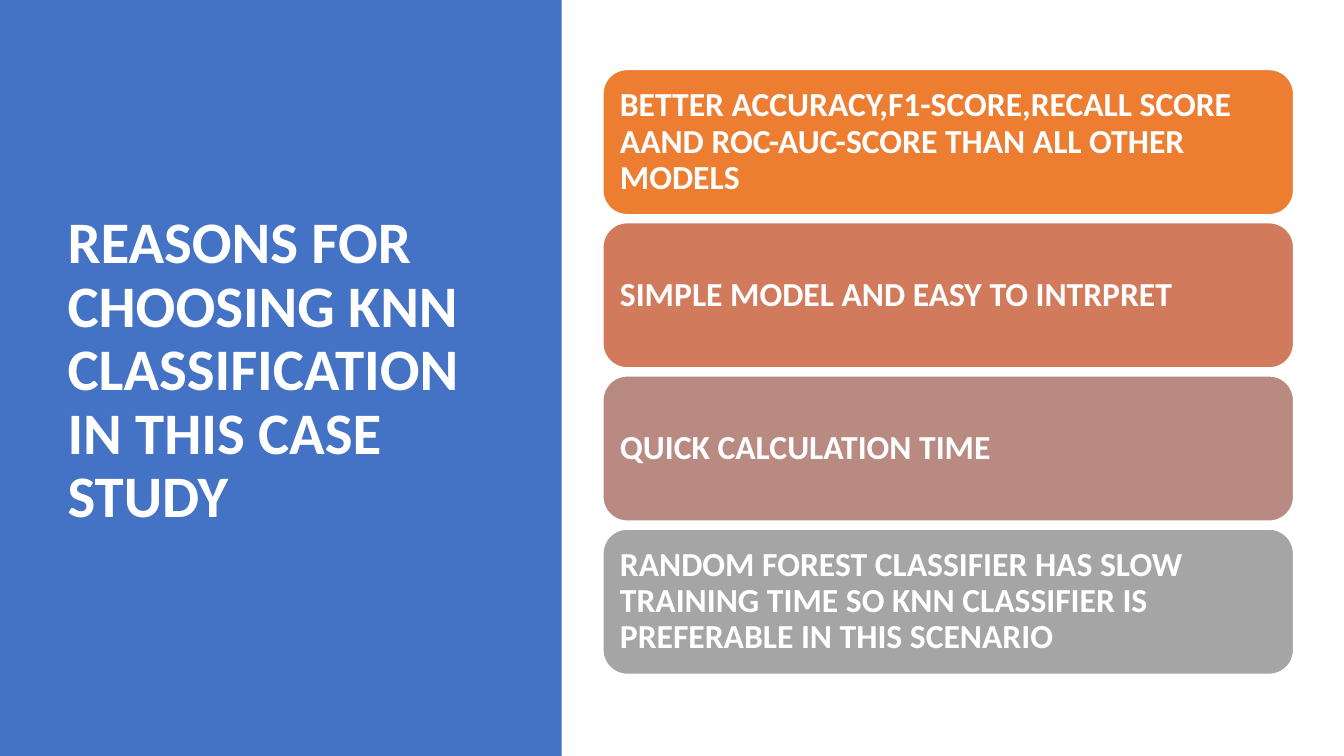
"""Build a slide listing the reasons for choosing KNN classification."""
import pptx
import pptx.dml.color
import pptx.enum.shapes
import pptx.enum.text
import pptx.util
from pptx.util import Inches

TITLE = "REASONS FOR CHOOSING KNN CLASSIFICATION IN THIS CASE STUDY"
REASONS = [
    ("BETTER ACCURACY,F1-SCORE,RECALL SCORE AAND ROC-AUC-SCORE THAN ALL OTHER MODELS", "orange"),
    ("SIMPLE MODEL AND EASY TO INTRPRET", "terracotta"),
    ("QUICK CALCULATION TIME", "rose"),
    ("RANDOM FOREST CLASSIFIER HAS SLOW TRAINING TIME SO KNN CLASSIFIER IS "
     "PREFERABLE IN THIS SCENARIO", "gray"),
]
COLORS = {
    "blue": "4472C4",
    "orange": "ED7D31",
    "terracotta": "D17B5C",
    "rose": "B98A82",
    "gray": "A5A5A5",
    "white": "FFFFFF",
}
CARD_LEFT, CARD_TOP, CARD_WIDTH, CARD_HEIGHT = 5.98, 0.69, 6.85, 1.44
CARD_STEP = 1.52


def color(name):
    """Return the named colour."""
    return pptx.dml.color.RGBColor.from_string(COLORS[name])


def add_block(slide, kind, left, top, width, height, fill):
    """Add a filled shape without shadow."""
    shape = slide.shapes.add_shape(
        kind, Inches(left), Inches(top), Inches(width), Inches(height))
    shape.shadow.inherit = False
    shape.fill.solid()
    shape.fill.fore_color.rgb = color(fill)
    return shape


def write(shape, text, size):
    """Write bold white text, left-aligned and vertically centred."""
    frame = shape.text_frame
    frame.text = text
    frame.word_wrap = True
    frame.auto_size = pptx.enum.text.MSO_AUTO_SIZE.NONE
    frame.vertical_anchor = pptx.enum.text.MSO_ANCHOR.MIDDLE
    paragraph = frame.paragraphs[0]
    paragraph.alignment = pptx.enum.text.PP_ALIGN.LEFT
    paragraph.line_spacing = 0.9
    paragraph.font.name = "Calibri"
    paragraph.font.size = pptx.util.Pt(size)
    paragraph.font.bold = True
    paragraph.font.color.rgb = color("white")


def main():
    """Build and save the presentation."""
    presentation = pptx.Presentation()
    presentation.slide_width = Inches(13.33)
    presentation.slide_height = Inches(7.5)
    slide = presentation.slides.add_slide(presentation.slide_layouts[5])
    shapes = pptx.enum.shapes.MSO_SHAPE

    panel = add_block(slide, shapes.RECTANGLE, 0, 0, 5.57, 7.5, "blue")
    panel.line.fill.background()

    title = slide.shapes.title
    title.left, title.top = Inches(0.57), Inches(0.68)
    title.width, title.height = Inches(4.16), Inches(6.02)
    write(title, TITLE, 42)
    panel.element.addnext(title.element)

    for index, (reason, fill) in enumerate(REASONS):
        card = add_block(slide, shapes.ROUNDED_RECTANGLE, CARD_LEFT,
                         CARD_TOP + index * CARD_STEP, CARD_WIDTH, CARD_HEIGHT, fill)
        card.line.color.rgb = color("white")
        card.line.width = pptx.util.Pt(1)
        frame = card.text_frame
        frame.margin_left = frame.margin_right = Inches(0.1)
        frame.margin_top = frame.margin_bottom = Inches(0.1)
        write(card, reason, 24)

    presentation.save("out.pptx")


if __name__ == "__main__":
    main()
